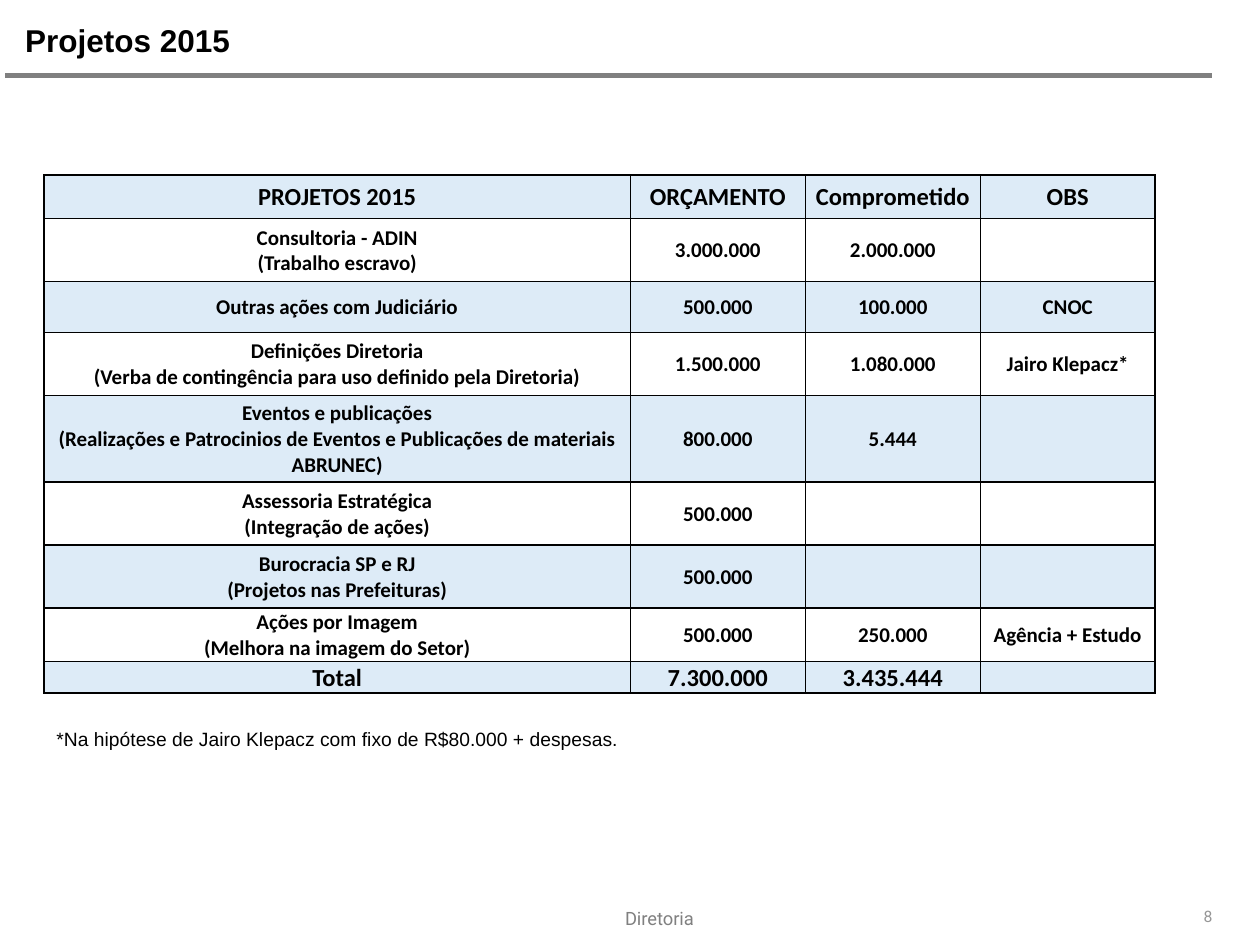
from copy import deepcopy

from lxml.etree import SubElement
from pptx import Presentation
from pptx.dml.color import RGBColor
from pptx.enum.shapes import MSO_CONNECTOR
from pptx.enum.text import MSO_ANCHOR, PP_ALIGN
from pptx.oxml.ns import qn
from pptx.util import Pt

COLORS = {
    "text": "000000",
    "rule": "808080",
    "footer": "808080",
    "page": "969696",
    "band": "DDEBF7",
    "plain": "FFFFFF",
    "border": "000000",
}

PROJECTS = [
    ("PROJETOS 2015", "ORÇAMENTO", "Comprometido", "OBS"),
    ("Consultoria - ADIN\n(Trabalho escravo)", "3.000.000", "2.000.000", ""),
    ("Outras ações com Judiciário", "500.000", "100.000", "CNOC"),
    ("Definições Diretoria\n(Verba de contingência para uso definido pela Diretoria)",
     "1.500.000", "1.080.000", "Jairo Klepacz*"),
    ("Eventos e publicações\n(Realizações e Patrocinios de Eventos e Publicações de materiais ABRUNEC)",
     "800.000", "5.444", ""),
    ("Assessoria Estratégica\n(Integração de ações)", "500.000", "", ""),
    ("Burocracia SP e RJ\n(Projetos nas Prefeituras)", "500.000", "", ""),
    ("Ações por Imagem\n(Melhora na imagem do Setor)", "500.000", "250.000", "Agência + Estudo"),
    ("Total", "7.300.000", "3.435.444", ""),
]
COLUMN_WIDTHS = [335, 100, 100, 100]
ROW_HEIGHTS = [25, 36, 29, 36, 49.5, 36, 36, 30.5, 18]

# text, (left, top, width, height), (horizontal, vertical) inset, format
TEXT_BOXES = [
    ("Projetos 2015", (14.4, 12.2, 685, 25), (0, 0), dict(size=18, bold=True)),
    ("*Na hipótese de Jairo Klepacz com fixo de R$80.000 + despesas.",
     (25.2, 412, 510, 21), (7.2, 3.6), dict(size=11)),
    ("Diretoria", (314.6, 514, 124.6, 21), (7.2, 4.3),
     dict(size=10.5, font="Roboto", color="footer", align=PP_ALIGN.CENTER)),
    ("8", (575.3, 514, 124.6, 19), (7.2, 4.3),
     dict(size=9, font="Roboto", color="page", align=PP_ALIGN.RIGHT)),
]


def write_text(frame, text, size=12, font="Arial", color="text", bold=False, align=PP_ALIGN.LEFT):
    frame.word_wrap = True
    paragraph = frame.paragraphs[0]
    paragraph.text = text
    paragraph.alignment = align
    for run in paragraph.runs:
        run.font.size = Pt(size)
        run.font.name = font
        run.font.bold = bold
        run.font.color.rgb = RGBColor.from_string(COLORS[color])
    for line_break in paragraph._p.findall(qn("a:br")):
        line_break.append(deepcopy(paragraph.runs[0]._r.rPr))
    if not text:
        SubElement(paragraph._p, qn("a:endParaRPr")).set("sz", str(size * 100))


def add_borders(cell):
    properties = cell._tc.get_or_add_tcPr()
    for position, side in enumerate(("lnL", "lnR", "lnT", "lnB")):
        line = properties.makeelement(qn(f"a:{side}"), {"w": str(Pt(1))})
        fill = SubElement(line, qn("a:solidFill"))
        SubElement(fill, qn("a:srgbClr")).set("val", COLORS["border"])
        properties.insert(position, line)


def add_project_table(slide):
    shape = slide.shapes.add_table(
        len(PROJECTS), len(COLUMN_WIDTHS), Pt(25.2), Pt(100),
        Pt(sum(COLUMN_WIDTHS)), Pt(sum(ROW_HEIGHTS)))
    table = shape.table
    for column, width in zip(table.columns, COLUMN_WIDTHS):
        column.width = Pt(width)
    for row, height in zip(table.rows, ROW_HEIGHTS):
        row.height = Pt(height)
    for row_index, project in enumerate(PROJECTS):
        size = 14 if row_index in (0, len(PROJECTS) - 1) else 12
        fill = "plain" if row_index % 2 else "band"
        for column_index, text in enumerate(project):
            cell = table.cell(row_index, column_index)
            cell.margin_left = cell.margin_right = cell.margin_top = Pt(0.7)
            cell.margin_bottom = Pt(0)
            cell.vertical_anchor = MSO_ANCHOR.MIDDLE
            cell.fill.solid()
            cell.fill.fore_color.rgb = RGBColor.from_string(COLORS[fill])
            add_borders(cell)
            write_text(cell.text_frame, text, size=size, font="Calibri",
                       bold=True, align=PP_ALIGN.CENTER)


def add_title_rule(slide):
    rule = slide.shapes.add_connector(MSO_CONNECTOR.STRAIGHT, Pt(2.9), Pt(43.2), Pt(692.6), Pt(43.2))
    rule.line.color.rgb = RGBColor.from_string(COLORS["rule"])
    rule.line.width = Pt(3.2)
    SubElement(rule._element.spPr, qn("a:effectLst"))


def add_text_box(slide, text, place, inset, text_format):
    frame = slide.shapes.add_textbox(*map(Pt, place)).text_frame
    frame.margin_left = frame.margin_right = Pt(inset[0])
    frame.margin_top = frame.margin_bottom = Pt(inset[1])
    write_text(frame, text, **text_format)


def main():
    presentation = Presentation()
    presentation.slide_width, presentation.slide_height = Pt(720), Pt(540)
    slide = presentation.slides.add_slide(presentation.slide_layouts[6])
    add_title_rule(slide)
    add_project_table(slide)
    for text_box in TEXT_BOXES:
        add_text_box(slide, *text_box)
    presentation.save("out.pptx")


if __name__ == "__main__":
    main()
